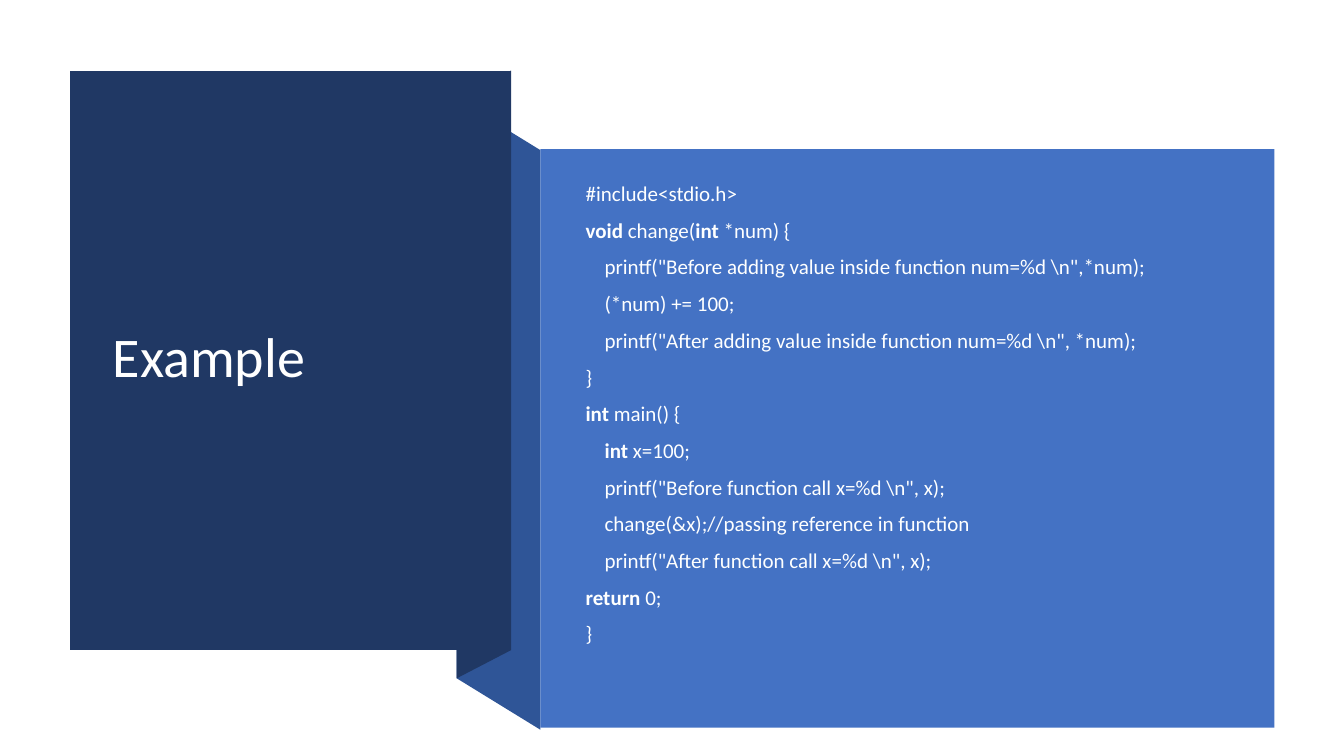
from dataclasses import dataclass

from pptx import Presentation
from pptx.dml.color import RGBColor
from pptx.enum.shapes import MSO_SHAPE
from pptx.enum.text import MSO_ANCHOR, PP_ALIGN
from pptx.util import Inches, Pt

RECTANGLE = MSO_SHAPE.RECTANGLE
TOP, MIDDLE = MSO_ANCHOR.TOP, MSO_ANCHOR.MIDDLE
LEFT = PP_ALIGN.LEFT

TITLE = "Example"
# Bars enclose the bold keywords.
CODE = [
    "#include<stdio.h>",
    "|void| change(|int| *num) {",
    '    printf("Before adding value inside function num=%d \\n",*num);',
    "    (*num) += 100;",
    '    printf("After adding value inside function num=%d \\n", *num);',
    "}",
    "|int| main() {",
    "    |int| x=100;",
    '    printf("Before function call x=%d \\n", x);',
    "    change(&x);//passing reference in function",
    '    printf("After function call x=%d \\n", x);',
    "|return| 0;",
    "}",
]


@dataclass(frozen=True)
class Theme:
    navy: RGBColor = RGBColor(0x20, 0x38, 0x64)
    fold: RGBColor = RGBColor(0x2F, 0x55, 0x97)
    blue: RGBColor = RGBColor(0x44, 0x72, 0xC4)
    title_ink: RGBColor = RGBColor(0xFF, 0xFF, 0xFF)
    code_ink: RGBColor = RGBColor(0xFE, 0xFF, 0xFF)
    font: str = "Calibri"
    title_size: int = 40
    code_size: int = 15
    line_spacing: float = 0.9
    code_gap: int = 10


THEME = Theme()

# Edges in inches
BANNER_LEFT, BANNER_TOP, BANNER_RIGHT, BANNER_BOTTOM = 0.69, 0.7, 5.07, 6.45
PANEL_LEFT, PANEL_TOP, PANEL_WIDTH, PANEL_HEIGHT = 5.36, 1.48, 7.28, 5.74
FOLD_LEFT, FOLD_TOP, FOLD_BOTTOM = 4.53, 0.98, 6.73
PANEL_DROP = 0.51

RIBBON = [
    (THEME.fold, [(PANEL_LEFT, FOLD_BOTTOM + PANEL_DROP), (FOLD_LEFT, FOLD_BOTTOM),
                  (FOLD_LEFT, FOLD_TOP), (PANEL_LEFT, FOLD_TOP + PANEL_DROP)]),
    (THEME.navy, [(BANNER_RIGHT, BANNER_BOTTOM), (FOLD_LEFT, FOLD_BOTTOM),
                  (FOLD_LEFT, FOLD_TOP), (BANNER_RIGHT, BANNER_TOP)]),
    (THEME.navy, [(BANNER_LEFT, BANNER_TOP), (BANNER_RIGHT, BANNER_TOP),
                  (BANNER_RIGHT, BANNER_BOTTOM), (BANNER_LEFT, BANNER_BOTTOM)]),
]
TITLE_BOX = (1.02, 1.07, 3.71, 4.99)
CODE_BOX = (5.71, 1.77, 6.51, 4.74)


def paint(shape, color):
    shape.shadow.inherit = False
    shape.fill.solid()
    shape.fill.fore_color.rgb = color
    shape.line.fill.background()


def add_polygon(page, color, corners):
    points = [(Inches(x), Inches(y)) for x, y in corners]
    outline = page.shapes.build_freeform(*points[0], scale=1.0)
    outline.add_line_segments(points[1:], close=True)
    paint(outline.convert_to_shape(), color)


def add_span(para, text, size, color, bold=False):
    span = para.add_run()
    span.text = text
    font = span.font
    font.name, font.size, font.bold = THEME.font, Pt(size), bold
    font.color.rgb = color


def add_title(page):
    title = page.shapes.title
    title.left, title.top, title.width, title.height = map(Inches, TITLE_BOX)
    title.text_frame.word_wrap = True
    title.text_frame.vertical_anchor = MIDDLE
    para = title.text_frame.paragraphs[0]
    para.alignment, para.line_spacing = LEFT, THEME.line_spacing
    add_span(para, TITLE, THEME.title_size, THEME.title_ink)
    # The title belongs in front of the ribbon.
    title.element.getparent().append(title.element)


def add_code(page):
    frame = page.shapes.add_textbox(*map(Inches, CODE_BOX)).text_frame
    frame.word_wrap = True
    frame.vertical_anchor = TOP
    for row, line in enumerate(CODE):
        para = frame.add_paragraph() if row else frame.paragraphs[0]
        para.alignment, para.line_spacing = LEFT, THEME.line_spacing
        if row:
            para.space_before = Pt(THEME.code_gap)
        for index, piece in enumerate(line.split("|")):
            if piece:
                add_span(para, piece, THEME.code_size, THEME.code_ink, bold=index % 2 == 1)


def main():
    deck = Presentation()
    deck.slide_width, deck.slide_height = Inches(13.33), Inches(7.5)
    page = deck.slides.add_slide(deck.slide_layouts[5])
    for color, corners in RIBBON:
        add_polygon(page, color, corners)
    add_title(page)
    panel = page.shapes.add_shape(
        RECTANGLE, *map(Inches, (PANEL_LEFT, PANEL_TOP, PANEL_WIDTH, PANEL_HEIGHT)))
    paint(panel, THEME.blue)
    add_code(page)
    deck.save("out.pptx")


if __name__ == "__main__":
    main()
